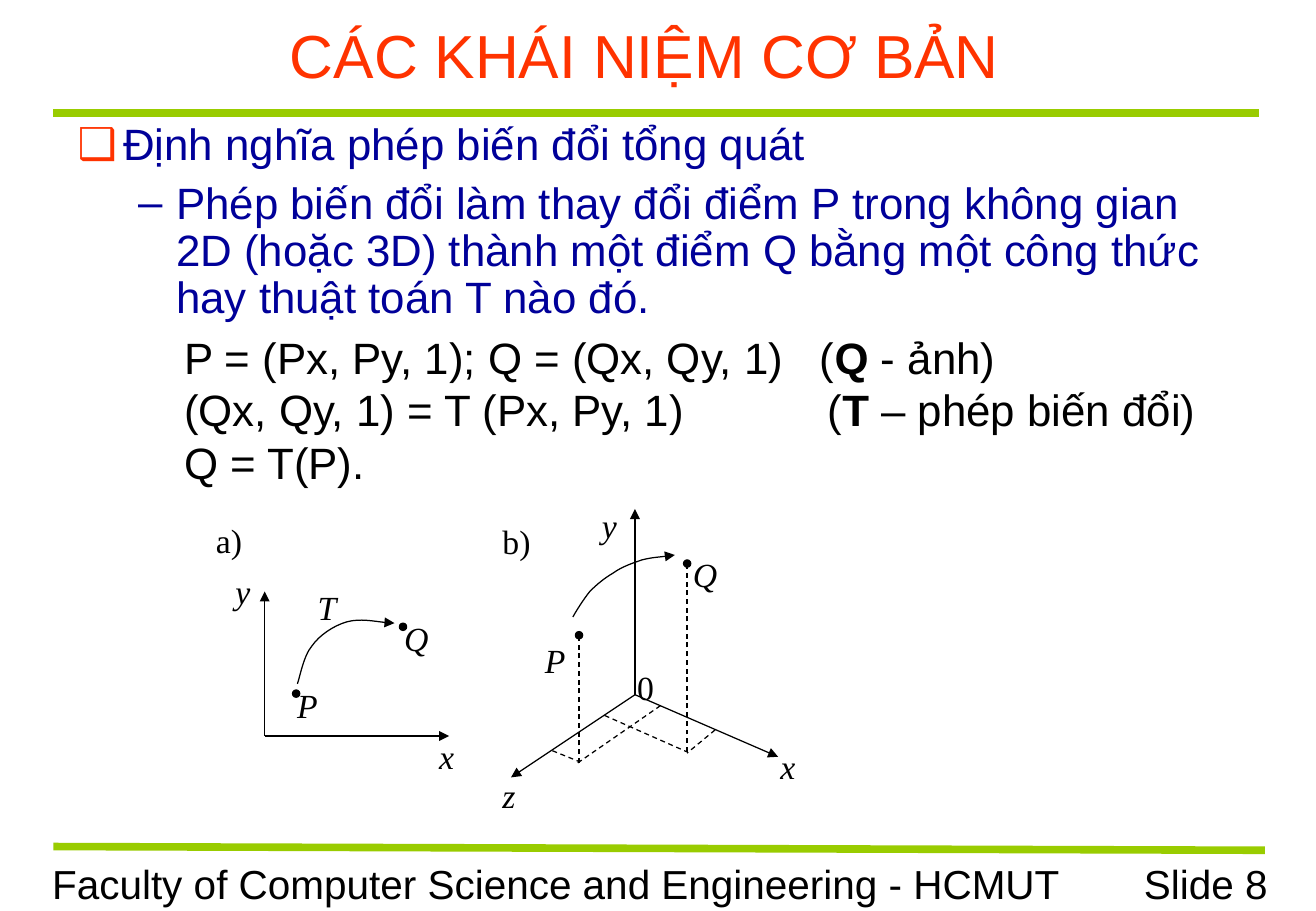
from lxml.etree import SubElement
from pptx import Presentation
from pptx.dml.color import RGBColor
from pptx.enum.dml import MSO_LINE as DASH
from pptx.enum.shapes import MSO_CONNECTOR as CONN, MSO_SHAPE as SHAPE
from pptx.enum.text import MSO_ANCHOR as ANCHOR, PP_ALIGN as ALIGN
from pptx.oxml.ns import qn
from pptx.util import Pt

BLACK = RGBColor(0x00, 0x00, 0x00)
GREEN = RGBColor(0x99, 0xCC, 0x00)
RED = RGBColor(0xFF, 0x33, 0x00)
NAVY = RGBColor(0x00, 0x00, 0x99)
SANS, SERIF = "Arial", "Times New Roman"

FOOTER = "Faculty of Computer Science and Engineering - HCMUT"

# text, level, left margin, hanging indent, bullet, bullet colour
BODY = [
    ("Định nghĩa phép biến đổi tổng quát", 0, 27, 27, "❑", RED),
    ("Phép biến đổi làm thay đổi điểm P trong không gian 2D (hoặc 3D) thành "
     "một điểm Q bằng một công thức hay thuật toán T nào đó.",
     1, 58.5, 22.5, "–", NAVY),
]

# tab stop, then the text with its second part in bold
FORMULAS = [
    (377, ["P = (Px, Py, 1); Q = (Qx, Qy, 1)\t(", "Q ", "- ảnh)"]),
    (381.6, ["(Qx, Qy, 1) = T (Px, Py, 1)\t(", "T", " – phép biến đổi)"]),
    (None, ["Q = T(P)."]),
]

# Each axis set: origin, then the arrow tips
AXES = [
    ((157, 436.3), [(266.4, 436.3), (157, 350.6)]),
    ((376.6, 411.8), [(376.6, 301.7), (461.5, 448.6), (303.1, 460.8)]),
]

# Each curve: start, then three points per Bézier segment
CURVES = [
    [(176.4, 405.4),
     (177.8, 401.8), (180, 388.8), (185, 383),
     (189.4, 376.6), (198, 370.8), (205.9, 368.6),
     (213.8, 366.5), (228.2, 369.4), (234, 369.4)],
    [(339.8, 365.8),
     (341.3, 362.9), (346.3, 355), (349.9, 350.6),
     (354.2, 346.3), (358.6, 342.7), (363.6, 339.8),
     (368.6, 336.2), (374.4, 334.1), (380.9, 331.9),
     (386.6, 330.5), (396, 329.8), (400.3, 329)],
]

PROJECTIONS = [
    ((358.6, 424.1), (407.5, 445.7)),
    ((391.7, 418.3), (342.7, 452.2)),
    ((424.1, 432.7), (407.5, 446.4)),
    ((327.6, 445), (343.4, 451.4)),
    ((407.5, 445.7), (407.5, 336.2)),
    ((343.4, 452.2), (343.4, 378.7)),
]

DOT_SIZE = 4.3
DOTS = [(173.5, 409), (236.9, 369.4), (341.3, 374.4), (405.4, 331.9)]

LABELS = [
    ("x", 253.4, 432.7), ("y", 132.5, 334.8), ("x", 455.8, 438.5),
    ("y", 349.9, 295.9), ("z", 290.9, 455.8), ("P", 169.2, 402.5),
    ("Q", 232.6, 362.9), ("T", 181.4, 344.2), ("0", 370.8, 391.7),
    ("P", 316.1, 375.8), ("Q", 403.9, 324.7),
    ("a)", 121, 304.6), ("b)", 290.9, 305.3),
]


def format_runs(p, size, color, font=SANS, italic=False):
    for r in p.runs:
        r.font.size, r.font.name, r.font.italic = Pt(size), font, italic
        r.font.color.rgb = color


def add_box(shapes, x, y, w, h):
    tf = shapes.add_textbox(Pt(x), Pt(y), Pt(w), Pt(h)).text_frame
    tf.word_wrap = True
    return tf


def add_text(shapes, text, box, size, color=BLACK, align=ALIGN.LEFT,
             font=SANS, italic=False):
    tf = add_box(shapes, *box)
    tf.text = text
    p = tf.paragraphs[0]
    p.alignment = align
    format_runs(p, size, color, font, italic)
    return tf


def add_arrowhead(sp):
    SubElement(sp.element.spPr.find(qn("a:ln")), qn("a:tailEnd"),
               type="triangle")


def add_line(shapes, start, end, color=BLACK, width=0.75, dash=None,
             arrow=False):
    sp = shapes.add_connector(CONN.STRAIGHT, *map(Pt, start + end))
    sp.line.color.rgb = color
    sp.line.width = Pt(width)
    if dash:
        sp.line.dash_style = dash
    if arrow:
        add_arrowhead(sp)
    SubElement(sp.element.spPr, qn("a:effectLst"))


def add_curve(shapes, points):
    start, *rest = [(Pt(x), Pt(y)) for x, y in points]
    builder = shapes.build_freeform(*start)
    builder.add_line_segments(rest, close=False)
    sp = builder.convert_to_shape()
    sp.shadow.inherit = False
    sp.fill.background()
    sp.line.color.rgb = BLACK
    sp.line.width = Pt(0.75)
    add_arrowhead(sp)
    # Turn every three line points into one Bézier segment
    outline = sp.element.find(".//" + qn("a:path"))
    for i, segment in enumerate(outline.findall(qn("a:lnTo"))):
        if i % 3 == 0:
            bezier = SubElement(outline, qn("a:cubicBezTo"))
        bezier.append(segment[0])
        outline.remove(segment)


def add_dot(shapes, x, y):
    sp = shapes.add_shape(SHAPE.OVAL, *map(Pt, (x, y, DOT_SIZE, DOT_SIZE)))
    sp.shadow.inherit = False
    sp.fill.solid()
    sp.fill.fore_color.rgb = BLACK
    sp.line.color.rgb = BLACK
    sp.line.width = Pt(0.75)


def add_body(shapes):
    tf = add_box(shapes, 38.9, 69.4, 702, 134.6)
    for i, (text, level, margin, hang, bullet, color) in enumerate(BODY):
        p = tf.add_paragraph() if i else tf.paragraphs[0]
        p.text = text
        p.level = level
        p.line_spacing = 0.9
        p.space_before = Pt(6.5)
        format_runs(p, 26, NAVY)
        pPr = p._p.get_or_add_pPr()
        pPr.set("marL", str(Pt(margin)))
        pPr.set("indent", str(-Pt(hang)))
        SubElement(SubElement(pPr, qn("a:buClr")), qn("a:srgbClr"),
                   val=str(color))
        SubElement(pPr, qn("a:buFont"), typeface=SANS)
        SubElement(pPr, qn("a:buChar"), char=bullet)


def add_formulas(shapes):
    tf = add_box(shapes, 102.2, 192.2, 635.8, 100.8)
    for i, (tab, parts) in enumerate(FORMULAS):
        p = tf.add_paragraph() if i else tf.paragraphs[0]
        for j, part in enumerate(parts):
            r = p.add_run()
            r.text = part
            r.font.bold = j == 1
        format_runs(p, 26, BLACK)
        if tab:
            tabs = SubElement(p._p.get_or_add_pPr(), qn("a:tabLst"))
            SubElement(tabs, qn("a:tab"), pos=str(Pt(tab)), algn="l")


def add_diagrams(shapes):
    for origin, tips in AXES:
        for tip in tips:
            add_line(shapes, origin, tip, arrow=True)
    for start, end in PROJECTIONS:
        add_line(shapes, start, end, dash=DASH.DASH)
    for points in CURVES:
        add_curve(shapes, points)
    for text, x, y in LABELS:
        add_text(shapes, text, (x, y, 24.5 * len(text), 36.7), 20,
                 font=SERIF, italic=text.isalpha())
    for x, y in DOTS:
        add_dot(shapes, x, y)


def main():
    prs = Presentation()
    prs.slide_width = Pt(780.48)
    prs.slide_height = Pt(540)
    # Drop the 4:3 preset, as the size is custom
    prs.element.find(qn("p:sldSz")).attrib.pop("type", None)
    s = prs.slides.add_slide(prs.slide_layouts[6])
    shapes = s.shapes

    # Footer and rules
    add_text(shapes, "Slide 8", (615.6, 505.4, 143.3, 36), 24,
             align=ALIGN.RIGHT)
    add_line(shapes, (31.7, 67), (746.6, 67), GREEN, 4.5)
    add_line(shapes, (31.7, 501.8), (750.2, 504), GREEN, 4.5)
    add_text(shapes, FOOTER, (23.8, 505.4, 613.4, 36), 24)

    # Title and body
    title = add_text(shapes, "CÁC KHÁI NIỆM CƠ BẢN", (23.8, 7.2, 717.1, 50.4),
                     36, RED, ALIGN.CENTER)
    title.vertical_anchor = ANCHOR.MIDDLE
    add_body(shapes)

    # Diagrams and formulas
    add_diagrams(shapes.add_group_shape().shapes)
    add_formulas(shapes)

    prs.save("out.pptx")


if __name__ == "__main__":
    main()
